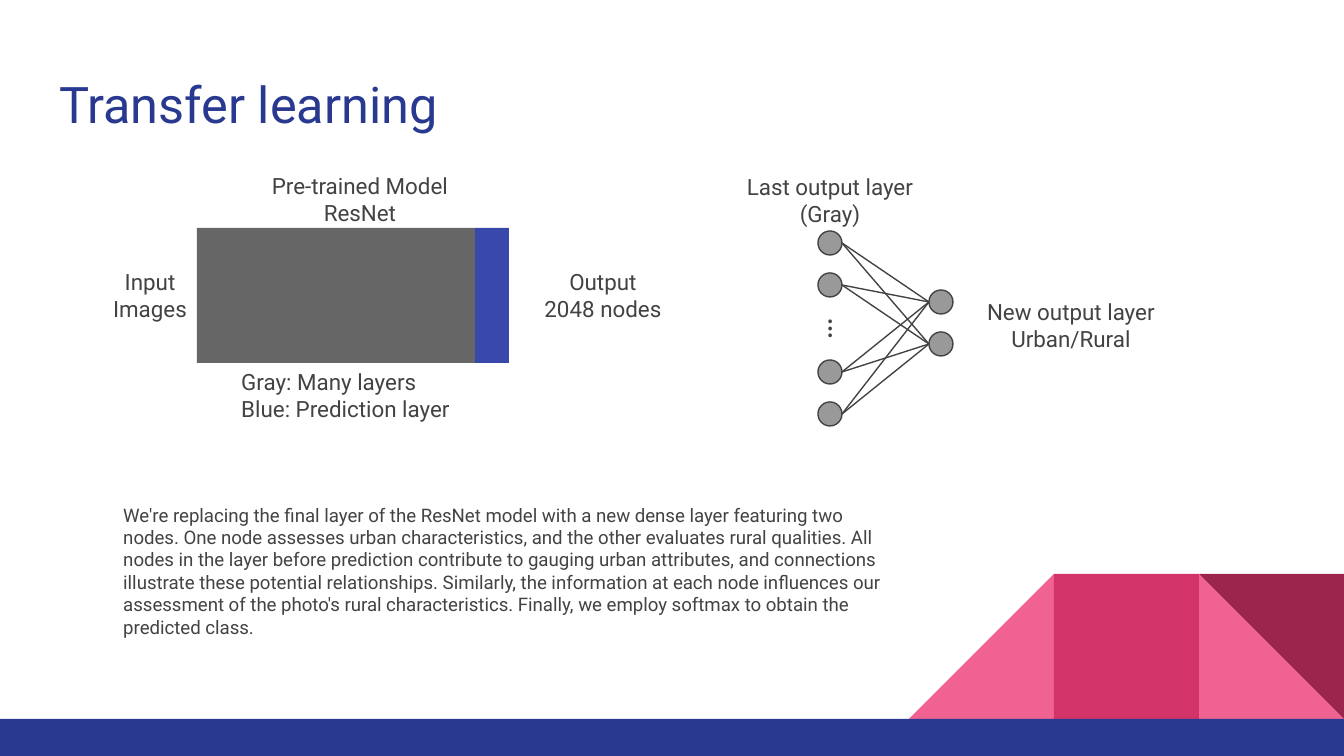
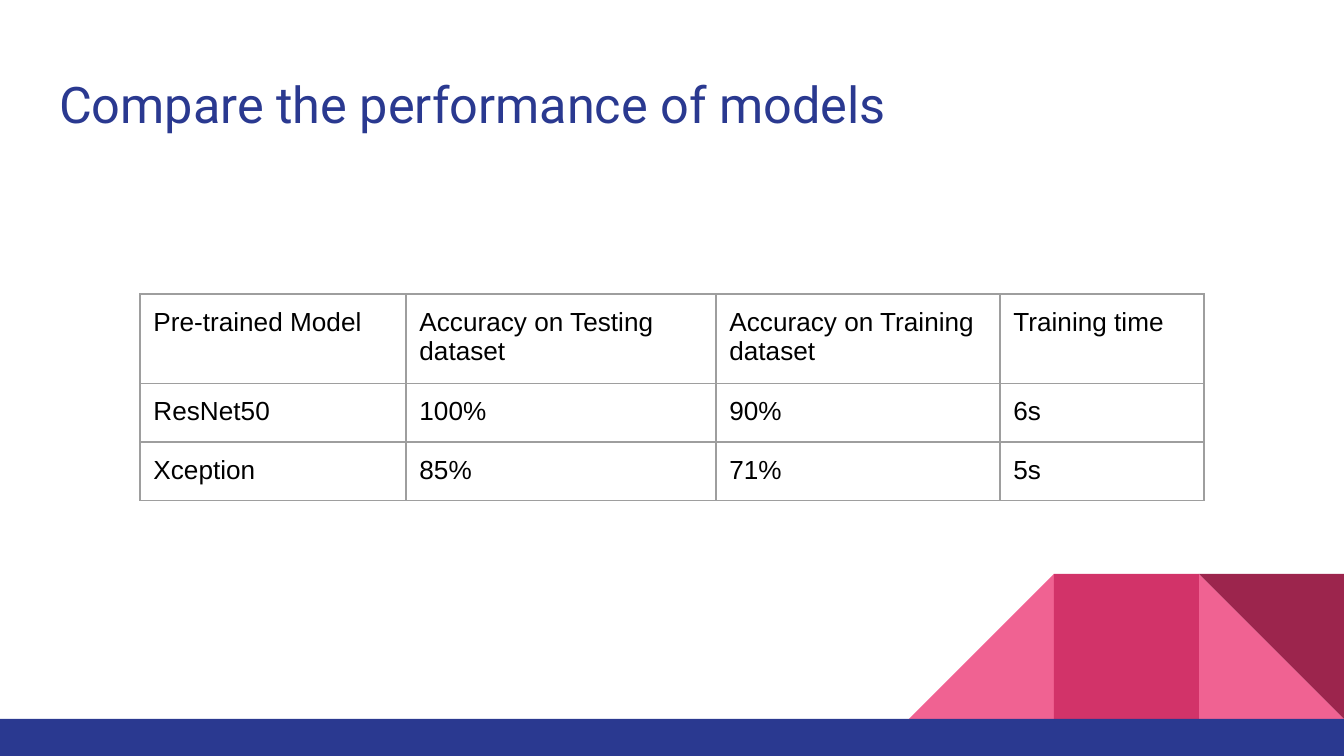
from itertools import product
from typing import NamedTuple

from lxml import etree
from pptx import Presentation
from pptx import util as u
from pptx.dml.color import RGBColor
from pptx.enum import shapes, text
from pptx.oxml import ns
from pptx.shapes.autoshape import Shape
from pptx.slide import Slide
from pptx.table import _Cell

WHITE = RGBColor(0xFF, 0xFF, 0xFF)
BLACK = RGBColor(0x00, 0x00, 0x00)
NAVY = RGBColor(0x2A, 0x39, 0x90)
BLUE = RGBColor(0x39, 0x49, 0xAB)
PINK = RGBColor(0xF0, 0x62, 0x92)
ROSE = RGBColor(0xD2, 0x33, 0x69)
WINE = RGBColor(0x9C, 0x25, 0x4D)
INK = RGBColor(0x43, 0x43, 0x43)
DARK_GRAY = RGBColor(0x66, 0x66, 0x66)
NODE_GRAY = RGBColor(0x99, 0x99, 0x99)
GRID_GRAY = RGBColor(0x9E, 0x9E, 0x9E)

WIDTH, HEIGHT = 1344, 756
PX_PER_INCH = 134.4
INSET = u.Inches(0.1)
THIN = u.Pt(0.75)
KIND = shapes.MSO_SHAPE
LEFT, CENTER = text.PP_ALIGN.LEFT, text.PP_ALIGN.CENTER

BAND_TOP = 719
TILE = 145
NODE = 24
INPUT_X, INPUT_TOPS = 818, (231, 273, 360, 402)
OUTPUT_X, OUTPUT_TOPS = 929, (290, 332)


class Area(NamedTuple):
    left: int
    top: int
    width: int
    height: int


class Block(NamedTuple):
    area: Area
    fill: RGBColor
    kind: shapes.MSO_SHAPE = KIND.RECTANGLE
    rotation: int = 0
    flipped: bool = False
    line: RGBColor | None = None


class Label(NamedTuple):
    area: Area
    lines: tuple[str, ...]
    size: int = 12
    align: text.PP_ALIGN = CENTER
    color: RGBColor = INK
    rotation: int = 0


def tile_area(column: int) -> Area:
    return Area(WIDTH - (3 - column) * TILE, BAND_TOP - TILE, TILE, TILE)


DECORATION = (
    Block(tile_area(2), PINK, KIND.RIGHT_TRIANGLE),
    Block(tile_area(0), PINK, KIND.RIGHT_TRIANGLE, flipped=True),
    Block(tile_area(1), ROSE),
    Block(tile_area(2), WINE, KIND.RIGHT_TRIANGLE, rotation=180),
    Block(Area(0, BAND_TOP, WIDTH, HEIGHT - BAND_TOP), NAVY),
)

MODEL = (
    Block(Area(197, 228, 278, 135), DARK_GRAY),
    Block(Area(475, 228, 34, 135), BLUE),
)

EXPLANATION = (
    "We're replacing the final layer of the ResNet model with a new dense layer "
    "featuring two nodes. One node assesses urban characteristics, and the other "
    "evaluates rural qualities. All nodes in the layer before prediction contribute "
    "to gauging urban attributes, and connections illustrate these potential "
    "relationships. Similarly, the information at each node influences our assessment "
    "of the photo's rural characteristics. Finally, we employ softmax to obtain the "
    "predicted class."
)

LABELS = (
    Label(Area(258, 159, 204, 82), ("Pre-trained Model", "ResNet")),
    Label(Area(74, 255, 152, 82), ("Input", "Images")),
    Label(Area(501, 255, 204, 82), ("Output", "2048 nodes")),
    Label(Area(228, 355, 304, 82), ("Gray: Many layers", "Blue: Prediction layer"), align=LEFT),
    Label(Area(820, 293, 44, 67), ("…",), size=18, align=LEFT, rotation=90),
    Label(Area(716, 160, 228, 82), ("Last output layer", "(Gray)")),
    Label(Area(957, 285, 228, 82), ("New output layer", "Urban/Rural")),
    Label(Area(110, 490, 804, 186), (EXPLANATION,), size=10, align=LEFT),
)

RESULTS = (
    ("Pre-trained Model", "Accuracy on Testing dataset", "Accuracy on Training dataset", "Training time"),
    ("ResNet50", "100%", "90%", "6s"),
    ("Xception", "85%", "71%", "5s"),
)
COLUMN_WIDTHS = (266, 310, 284, 204)
ROW_HEIGHTS = (85, 56, 56)


def px(length: int) -> u.Emu:
    return u.Emu(round(length * u.Inches(1) / PX_PER_INCH))


def place(area: Area) -> tuple[u.Emu, ...]:
    return tuple(px(length) for length in area)


def draw_block(page: Slide, block: Block) -> Shape:
    shape = page.shapes.add_shape(block.kind, *place(block.area))
    shape.shadow.inherit = False
    shape.fill.solid()
    shape.fill.fore_color.rgb = block.fill
    shape.rotation = block.rotation
    if block.flipped:
        shape.element.spPr.xfrm.set("flipH", "1")
    if block.line is None:
        shape.line.fill.background()
    else:
        shape.line.color.rgb = block.line
        shape.line.width = THIN
    return shape


def draw_label(page: Slide, label: Label) -> None:
    box = page.shapes.add_textbox(*place(label.area))
    box.rotation = label.rotation
    frame = box.text_frame
    frame.word_wrap = True
    frame.margin_left = frame.margin_right = INSET
    frame.margin_top = frame.margin_bottom = INSET
    frame.text = "\n".join(label.lines)
    for para in frame.paragraphs:
        para.alignment = label.align
        for span in para.runs:
            span.font.name = "Roboto"
            span.font.size = u.Pt(label.size)
            span.font.color.rgb = label.color


def draw_link(page: Slide, start: tuple[int, int], end: tuple[int, int]) -> None:
    link = page.shapes.add_connector(
        shapes.MSO_CONNECTOR.STRAIGHT, *(px(length) for length in start + end)
    )
    link.line.color.rgb = INK
    link.line.width = THIN
    etree.SubElement(link.element.spPr, ns.qn("a:effectLst"))


def draw_network(page: Slide) -> None:
    nodes = [(INPUT_X, top) for top in INPUT_TOPS] + [(OUTPUT_X, top) for top in OUTPUT_TOPS]
    for left, top in nodes:
        area = Area(left, top, NODE, NODE)
        draw_block(page, Block(area, NODE_GRAY, KIND.FLOWCHART_CONNECTOR, line=INK))
    for source, target in product(INPUT_TOPS, OUTPUT_TOPS):
        draw_link(page, (INPUT_X + NODE, source + NODE // 2), (OUTPUT_X, target + NODE // 2))


def style_cell(cell: _Cell) -> None:
    properties = cell._tc.get_or_add_tcPr()
    for side in ("a:lnL", "a:lnR", "a:lnT", "a:lnB"):
        border = etree.SubElement(properties, ns.qn(side), w=str(THIN))
        fill = etree.SubElement(border, ns.qn("a:solidFill"))
        etree.SubElement(fill, ns.qn("a:srgbClr"), val=str(GRID_GRAY))
    cell.fill.background()
    cell.margin_left = cell.margin_right = INSET
    cell.margin_top = cell.margin_bottom = INSET
    for span in cell.text_frame.paragraphs[0].runs:
        span.font.name = "Arial"
        span.font.size = u.Pt(14)
        span.font.color.rgb = BLACK


def draw_results(page: Slide) -> None:
    area = Area(140, 294, sum(COLUMN_WIDTHS), sum(ROW_HEIGHTS))
    table = page.shapes.add_table(len(RESULTS), len(COLUMN_WIDTHS), *place(area)).table
    table.first_row = False
    table.horz_banding = False
    for column, width in zip(table.columns, COLUMN_WIDTHS):
        column.width = px(width)
    for row, height, values in zip(table.rows, ROW_HEIGHTS, RESULTS):
        row.height = px(height)
        for cell, value in zip(row.cells, values):
            cell.text_frame.text = value
            style_cell(cell)


def add_page(deck: Presentation, title: str) -> Slide:
    page = deck.slides.add_slide(deck.slide_layouts[6])
    page.background.fill.solid()
    page.background.fill.fore_color.rgb = WHITE
    for block in DECORATION:
        draw_block(page, block)
    draw_label(page, Label(Area(46, 60, 1252, 89), (title,), 27, LEFT, NAVY))
    return page


def main() -> None:
    deck = Presentation()
    deck.slide_width, deck.slide_height = px(WIDTH), px(HEIGHT)

    page = add_page(deck, "Transfer learning")
    for block in MODEL:
        draw_block(page, block)
    draw_network(page)
    for label in LABELS:
        draw_label(page, label)

    page = add_page(deck, "Compare the performance of models")
    draw_results(page)

    deck.save("out.pptx")


if __name__ == "__main__":
    main()
